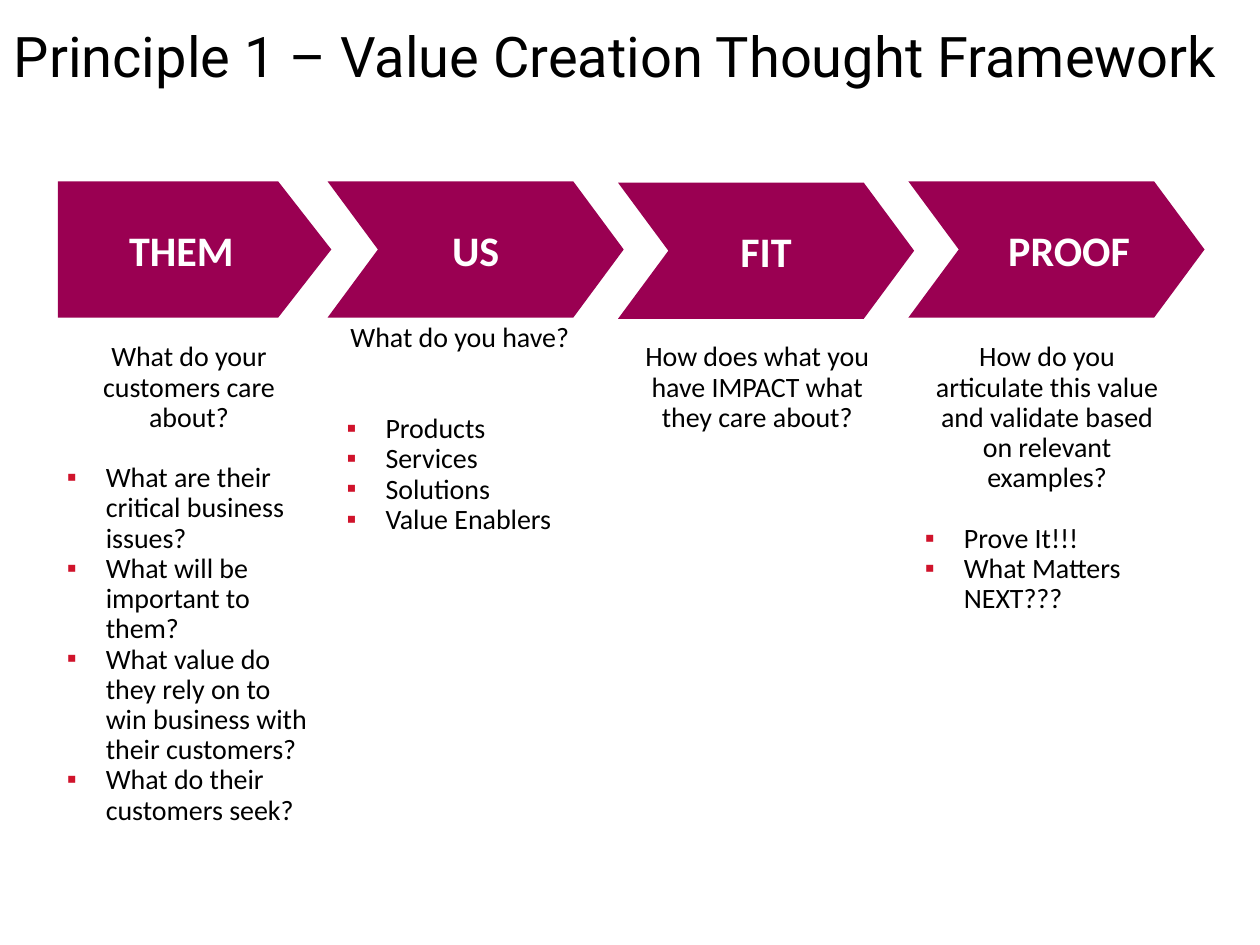
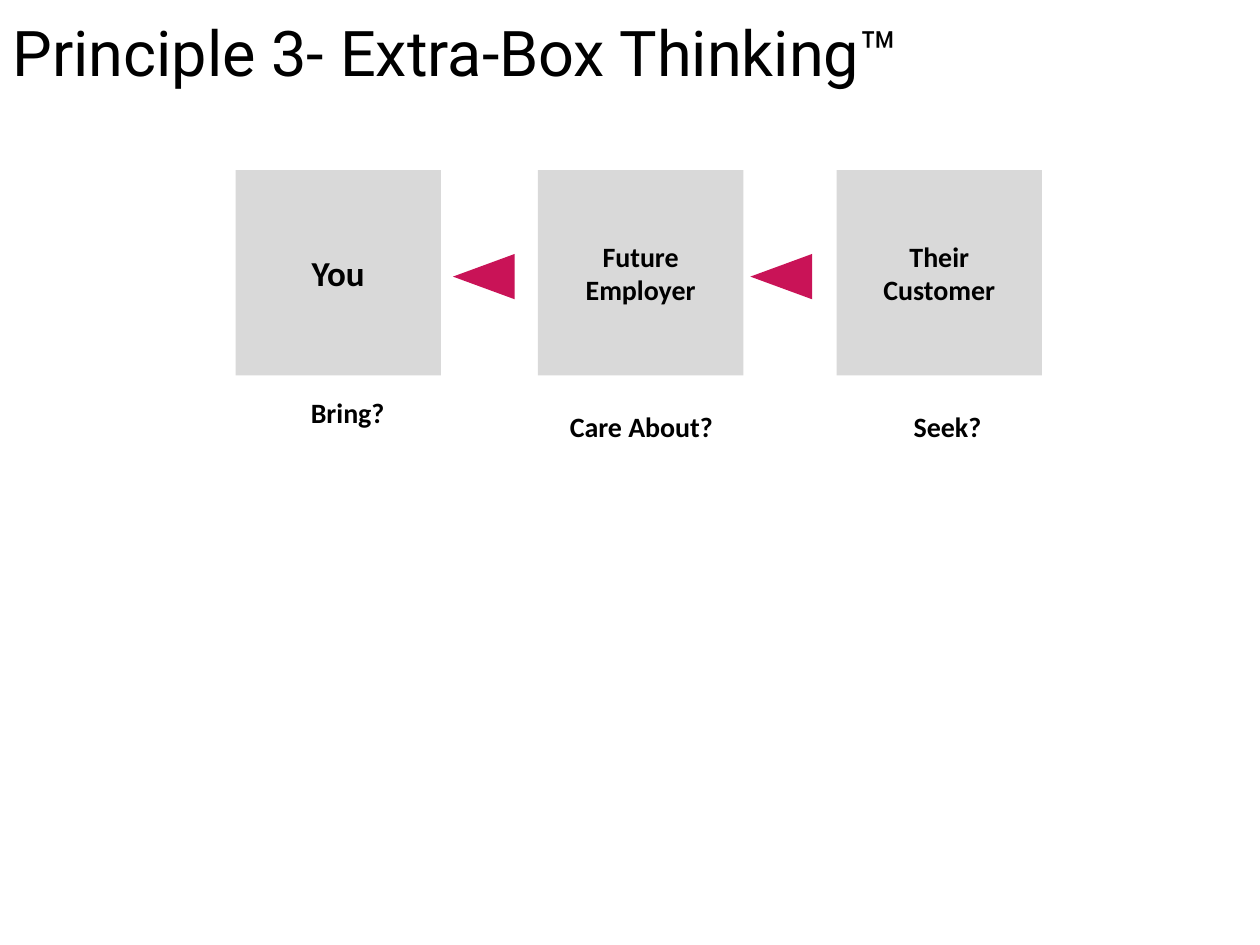
from dataclasses import dataclass

from lxml import etree
from pptx import Presentation
from pptx import util as u
from pptx.dml.color import RGBColor
from pptx.enum import shapes, text
from pptx.oxml.ns import qn

COLUMNS, ROWS = 100, 75
TITLE_ONLY, FOUR_BODIES = 5, 4
LEFT, CENTER = text.PP_ALIGN.LEFT, text.PP_ALIGN.CENTER
TOP, MIDDLE = text.MSO_ANCHOR.TOP, text.MSO_ANCHOR.MIDDLE
PRESET = shapes.MSO_SHAPE


@dataclass(frozen=True)
class Theme:
    ink: str = "000000"
    paper: str = "FFFFFF"
    band: str = "9A0052"
    box: str = "D9D9D9"
    arrow: str = "C91357"
    bullet: str = "D0132B"
    title_font: str = "Roboto"
    font: str = "Calibri"
    body: int = 16
    emphasis: int = 20
    band_size: int = 24
    list_line: float = 17.3  # points in one line of a list
    list_spacing: float = 0.9
    indent: float = 0.31


THEME = Theme()


def add_bullet(paragraph, mark, color, indent):
    props = paragraph._p.get_or_add_pPr()
    props.set("marL", str(u.Inches(indent)))
    props.set("indent", str(-u.Inches(indent)))
    tint = etree.SubElement(props, qn("a:buClr"))
    etree.SubElement(tint, qn("a:srgbClr"), val=color)
    etree.SubElement(props, qn("a:buChar"), char=mark)


def remove_bullet(paragraph):
    props = paragraph._p.get_or_add_pPr()
    props.set("marL", "0")
    props.set("indent", "0")
    etree.SubElement(props, qn("a:buNone"))


def write(frame, *lines, size=THEME.body, font=THEME.font, color=THEME.ink,
          bold=False, align=CENTER, anchor=MIDDLE, spacing=1.0,
          bullets_from=None, gap=0):
    """Fill a frame; lines from bullets_from on are a list, set off by gap points."""
    frame.word_wrap = True
    frame.auto_size = text.MSO_AUTO_SIZE.NONE
    frame.vertical_anchor = anchor
    for index, line in enumerate(lines):
        paragraph = frame.paragraphs[0] if index == 0 else frame.add_paragraph()
        listed = bullets_from is not None and index >= bullets_from
        if listed:
            add_bullet(paragraph, "▪", THEME.bullet, THEME.indent)
        else:
            remove_bullet(paragraph)
        paragraph.alignment = LEFT if listed else align
        paragraph.line_spacing = spacing
        paragraph.space_before = u.Pt(gap if index == bullets_from else 0)
        run = paragraph.add_run()
        run.text = line
        run.font.size, run.font.name, run.font.bold = u.Pt(size), font, bold
        run.font.color.rgb = RGBColor.from_string(color)


class Deck:
    def __init__(self, theme):
        self.theme = theme
        self.show = Presentation()
        self.show.slide_width, self.show.slide_height = u.Inches(10), u.Inches(7.5)
        self.slide = None

    def place(self, left, top, width, height):
        """Turn grid columns and rows into slide lengths."""
        column = self.show.slide_width / COLUMNS
        row = self.show.slide_height / ROWS
        return [u.Emu(round(n * unit)) for n, unit in
                ((left, column), (top, row), (width, column), (height, row))]

    def move(self, holder, area):
        holder.left, holder.top, holder.width, holder.height = self.place(*area)

    def new_slide(self, layout, title, area, size):
        self.slide = self.show.slides.add_slide(self.show.slide_layouts[layout])
        heading = self.slide.shapes.title
        self.move(heading, area)
        write(heading.text_frame, title, size=size,
              font=self.theme.title_font, align=LEFT)

    def question(self, slot, area, prompt, points, gap_lines):
        """Fill a body placeholder with a centred question and its list."""
        holder = self.slide.placeholders[slot]
        self.move(holder, area)
        write(holder.text_frame, prompt, *points, anchor=TOP, bullets_from=1,
              spacing=self.theme.list_spacing,
              gap=gap_lines * self.theme.list_line)

    def shape(self, preset, area, fill, *lines, adjust=None, turn=0,
              insets=None, **style):
        figure = self.slide.shapes.add_shape(preset, *self.place(*area))
        figure.shadow.inherit = False
        figure.fill.solid()
        figure.fill.fore_color.rgb = RGBColor.from_string(fill)
        figure.line.fill.background()
        figure.rotation = turn
        if adjust is not None:
            figure.adjustments[0] = adjust
        if insets:
            frame = figure.text_frame
            frame.margin_left, frame.margin_right = map(u.Inches, insets)
        if lines:
            write(figure.text_frame, *lines, **style)

    def label(self, area, line, **style):
        box = self.slide.shapes.add_textbox(*self.place(*area))
        write(box.text_frame, line, anchor=TOP, **style)


def value_creation(deck):
    deck.new_slide(FOUR_BODIES, "Principle 1 – Value Creation Thought Framework",
                   (0.1, 0, 99.9, 8.7), size=32)
    questions = [
        ((4.3, 26.7, 21.4, 44.6), "What do your customers care about?",
         ["What are their critical business issues?",
          "What will be important to them?",
          "What value do they rely on to win business with their customers?",
          "What do their customers seek?"], 1),
        ((26.5, 25.2, 20, 22.8), "What do you have?",
         ["Products", "Services", "Solutions", "Value Enablers"], 2),
        ((49.4, 26.7, 21.4, 8.3),
         "How does what you have IMPACT what they care about?", [], 0),
        ((72.4, 26.7, 21.4, 27.7),
         "How do you articulate this value and validate based on relevant examples?",
         ["Prove It!!!", "What Matters NEXT???"], 1),
    ]
    for slot, question in enumerate(questions, start=1):
        deck.question(slot, *question)

    band = dict(size=THEME.band_size, color=THEME.paper, bold=True)
    deck.shape(PRESET.PENTAGON, (4.6, 14.4, 21.7, 10.8), THEME.band, "THEM",
               adjust=0.39, **band)
    steps = [("US", 14.4, None), ("FIT", 14.5, None), ("PROOF", 14.4, (0.2, 0))]
    for index, (step, top, insets) in enumerate(steps):
        deck.shape(PRESET.CHEVRON, (26 + 23.05 * index, top, 23.5, 10.8),
                   THEME.band, step, adjust=0.37, insets=insets, **band)


def third_box(deck):
    deck.new_slide(TITLE_ONLY, "Principle 3- Extra-Box Thinking™",
                   (0, 0.6, 98.3, 7), size=36)
    parties = [
        (18.7, ["You"], THEME.emphasis, "Bring?", (17.6, 30.9)),
        (42.7, ["Future Employer"], THEME.body, "Care About?", (40.9, 32)),
        (66.4, ["Their", "Customer"], THEME.body, "Seek?", (65.2, 32)),
    ]
    for left, party, size, ask, corner in parties:
        deck.shape(PRESET.RECTANGLE, (left, 13.5, 16.3, 16.3), THEME.box, *party,
                   size=size, bold=True)
        deck.label((*corner, 20, 3.7), ask, bold=True)
    for left in (36.6, 60.2):
        deck.shape(PRESET.ISOSCELES_TRIANGLE, (left, 19.5, 3.6, 4.9),
                   THEME.arrow, turn=270)


def main():
    deck = Deck(THEME)
    value_creation(deck)
    third_box(deck)
    deck.show.save("out.pptx")


if __name__ == "__main__":
    main()
